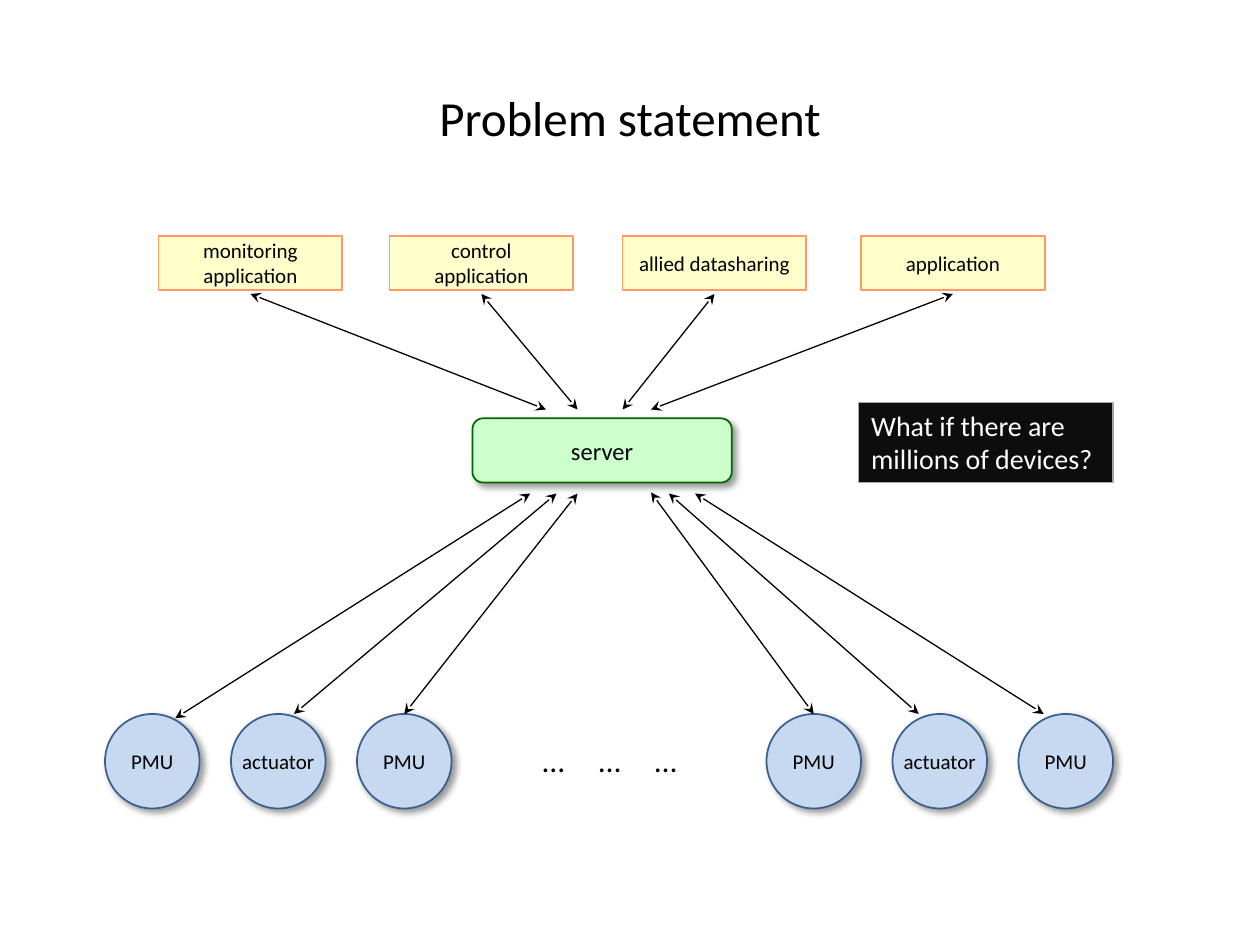
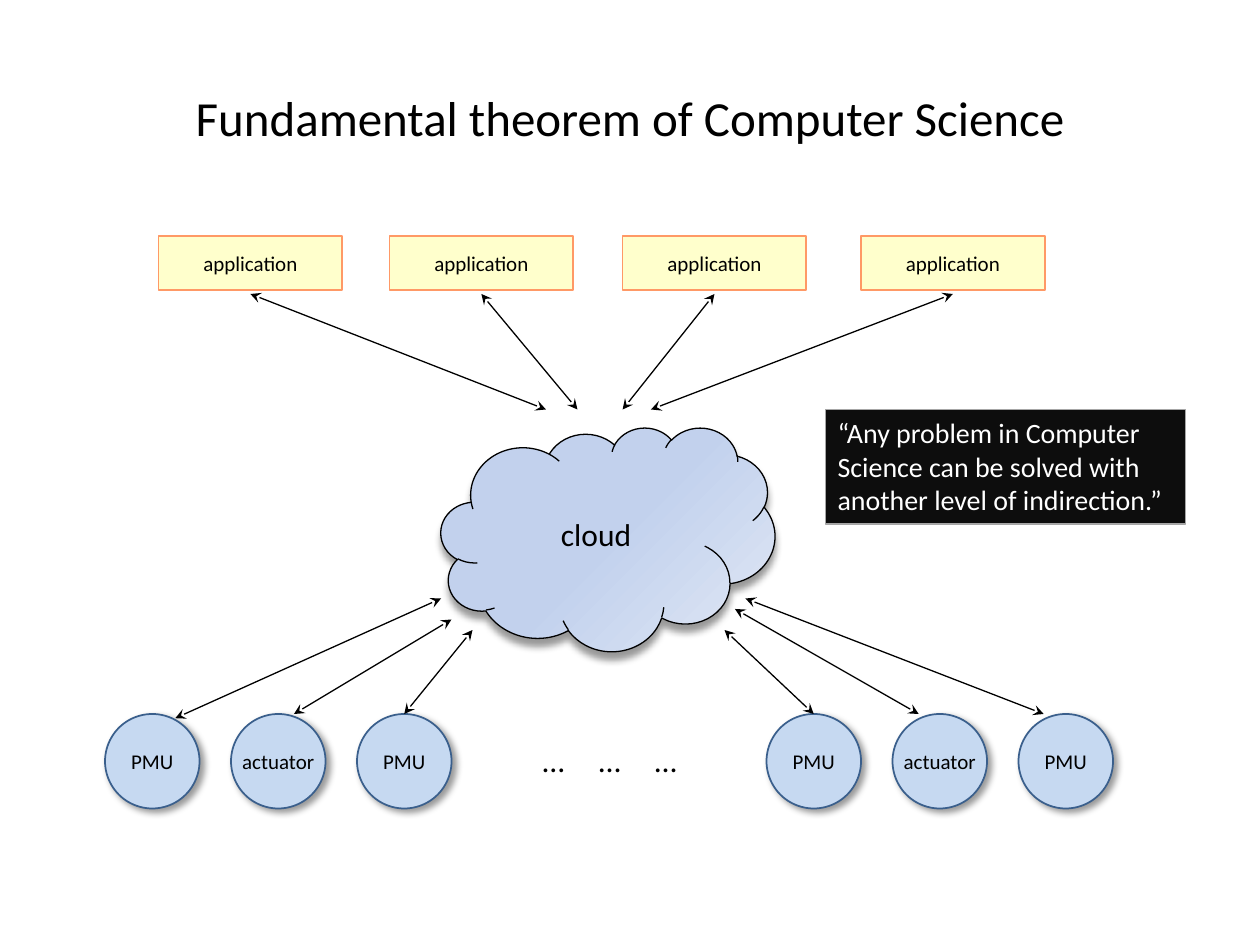
"""Two network diagrams: applications and devices joined by a server or a cloud."""
from dataclasses import dataclass
from typing import Optional

from lxml import etree
from pptx import Presentation
from pptx import util as u
from pptx.dml.color import RGBColor
from pptx.enum import shapes, text
from pptx.oxml import parse_xml
from pptx.oxml.ns import nsdecls, qn

COLS, ROWS = 120, 90  # grid of the whole slide
WIDTH, HEIGHT = u.Inches(10), u.Inches(7.5)
SHAPE = shapes.MSO_SHAPE
CENTER, LEFT = text.PP_ALIGN.CENTER, text.PP_ALIGN.LEFT
MIDDLE, TOP = text.MSO_ANCHOR.MIDDLE, text.MSO_ANCHOR.TOP


@dataclass(frozen=True)
class Theme:
    """Font, colours and type sizes of both slides."""
    font: str = "Calibri"
    ink: str = "000000"
    paper: str = "FFFFFF"
    title: int = 28
    large: int = 18
    note: int = 16
    server: int = 14
    label: int = 12
    thin: float = 0.75


THEME = Theme()


@dataclass(frozen=True)
class Box:
    """A rectangle in grid columns and rows."""
    col: float
    row: float
    cols: float
    rows: float


@dataclass(frozen=True)
class Style:
    """Look of a shape; shadow holds blur, distance and angle."""
    kind: int
    fill: str
    line: str
    width: float = 1
    shadow: Optional[tuple] = None


DEVICE = Style(SHAPE.OVAL, "C6D9F1", "3A5F8C", shadow=(4, 3, 45))
APP = Style(SHAPE.RECTANGLE, "FFFFCC", "FF9966")
SERVER = Style(SHAPE.ROUNDED_RECTANGLE, "CCFFCC", "006600", shadow=(4, 3, 45))
CLOUD = Style(SHAPE.CLOUD, "C2D1ED", THEME.ink, THEME.thin, (4, 4, 90))
NOTE = Style(SHAPE.RECTANGLE, "0D0D0D", "A6A6A6", THEME.thin)


@dataclass(frozen=True)
class Diagram:
    """What differs between the slides; ports are (column, row) arrow ends."""
    title: str
    apps: tuple
    hub: str
    hub_box: Box
    hub_style: Style
    hub_size: int
    ports: tuple
    note: str
    note_box: Box


APP_COLS = (15.1, 37.1, 59.3, 82)
APP_WIDTH = 17.5
APP_PORTS = (52, 55, 59.3, 62)
DEVICE_COLS = [start + 12 * i for start in (10, 73) for i in range(3)]
DEVICE_NAMES = ("PMU", "actuator", "PMU") * 2
DEVICE_ENDS = ((16.7, 68.4), (28, 68), (38.5, 68), (77.5, 68), (87.5, 68), (99.4, 68))

DIAGRAMS = (
    Diagram("Problem statement",
            ("monitoring application", "control application",
             "allied datasharing", "application"),
            "server", Box(45, 39.84, 24.7, 6.12), SERVER, THEME.server,
            ((50.5, 47), (53, 47), (55, 47), (62, 46.9), (63.7, 47), (66.2, 47)),
            "What if there are\nmillions of devices?", Box(81.8, 38.3, 24.2, 7.65)),
    Diagram("Fundamental theorem of Computer Science",
            ("application",) * 4,
            "cloud", Box(42, 40.7, 31.8, 21.3), CLOUD, THEME.large,
            ((42, 57), (43, 59), (45, 60), (69, 60), (70, 58), (71, 57)),
            "“Any problem in Computer Science can be solved with "
            "another level of indirection.”", Box(78.6, 39, 34.3, 10.9)),
)


def x(col: float) -> int:
    """Horizontal position of a grid column."""
    return round(WIDTH * col / COLS)


def y(row: float) -> int:
    """Vertical position of a grid row."""
    return round(HEIGHT * row / ROWS)


def place(box: Box) -> tuple:
    """Left, top, width and height of a grid rectangle."""
    return x(box.col), y(box.row), x(box.cols), y(box.rows)


def write(sp, words: str, *, size: float = THEME.label, color: str = THEME.ink,
          align=CENTER, anchor=MIDDLE, wrap: bool = True) -> None:
    """Put formatted text in a shape."""
    tf = sp.text_frame
    tf.word_wrap, tf.vertical_anchor = wrap, anchor
    p = tf.paragraphs[0]
    p.text, p.alignment = words.replace("\n", "\v"), align
    for r in p.runs:
        r.font.name, r.font.size = THEME.font, u.Pt(size)
        r.font.color.rgb = RGBColor.from_string(color)


def add_label(s, box: Box, words: str, **fmt) -> None:
    """Add a plain text box."""
    write(s.shapes.add_textbox(*place(box)), words, **fmt)


def add_shadow(sp, blur: float, dist: float, angle: float) -> None:
    """Give a shape a soft black shadow."""
    sp._element.spPr.find(qn("a:effectLst")).append(parse_xml(
        f'<a:outerShdw {nsdecls("a")} blurRad="{u.Pt(blur)}" dist="{u.Pt(dist)}" '
        f'dir="{angle * 60000}" rotWithShape="0"><a:srgbClr val="{THEME.ink}">'
        '<a:alpha val="40000"/></a:srgbClr></a:outerShdw>'))


def add_node(s, box: Box, style: Style, words: str, **fmt):
    """Add a styled shape with its text."""
    sp = s.shapes.add_shape(style.kind, *place(box))
    sp.fill.solid()
    sp.fill.fore_color.rgb = RGBColor.from_string(style.fill)
    sp.line.color.rgb = RGBColor.from_string(style.line)
    sp.line.width = u.Pt(style.width)
    sp.shadow.inherit = False
    if style.shadow:
        add_shadow(sp, *style.shadow)
    write(sp, words, **fmt)
    return sp


def shade_cloud(sp) -> None:
    """Replace the flat fill by a diagonal gradient."""
    stops = "".join(f'<a:gs pos="{pos}000"><a:srgbClr val="{color}"/></a:gs>'
                    for pos, color in ((0, CLOUD.fill), (50, CLOUD.fill), (100, "E1E8F5")))
    spPr = sp._element.spPr
    spPr.replace(spPr.find(qn("a:solidFill")), parse_xml(
        f'<a:gradFill {nsdecls("a")} rotWithShape="1"><a:gsLst>{stops}</a:gsLst>'
        '<a:lin ang="2700000" scaled="0"/></a:gradFill>'))


def add_arrow(s, start: tuple, end: tuple) -> None:
    """Add a thin line with an arrowhead at both ends."""
    c = s.shapes.add_connector(shapes.MSO_CONNECTOR.STRAIGHT,
                               x(start[0]), y(start[1]), x(end[0]), y(end[1]))
    c.line.color.rgb = RGBColor.from_string(THEME.ink)
    c.line.width = u.Pt(THEME.thin)
    for tag in ("a:headEnd", "a:tailEnd"):
        etree.SubElement(c.line._get_or_add_ln(), qn(tag), type="stealth")
    etree.SubElement(c._element.spPr, qn("a:effectLst"))


def draw(prs, d: Diagram) -> None:
    """Draw one diagram on a new blank slide."""
    s = prs.slides.add_slide(prs.slide_layouts[6])
    add_label(s, Box(6, 3.6, 108, 15), d.title, size=THEME.title)
    for col, name in zip(DEVICE_COLS, DEVICE_NAMES):
        add_node(s, Box(col, 68, 9, 9), DEVICE, name, wrap=False)
    for i in range(3):
        add_label(s, Box(50.5 + 5.35 * i, 70, 5, 4.8), "…", size=THEME.large,
                  align=LEFT, anchor=TOP)
    for start, end in zip(DEVICE_ENDS, d.ports):
        add_arrow(s, start, end)
    add_node(s, d.note_box, NOTE, d.note, size=THEME.note, color=THEME.paper,
             align=LEFT, anchor=TOP)
    hub = add_node(s, d.hub_box, d.hub_style, d.hub, size=d.hub_size)
    if d.hub_style is CLOUD:
        shade_cloud(hub)
    for col, name, port in zip(APP_COLS, d.apps, APP_PORTS):
        add_node(s, Box(col, 22.5, APP_WIDTH, 5.1), APP, name)
        add_arrow(s, (col + APP_WIDTH / 2, 28), (port, 39))


def main() -> None:
    """Build and save the presentation."""
    prs = Presentation()
    prs.slide_width, prs.slide_height = WIDTH, HEIGHT
    for d in DIAGRAMS:
        draw(prs, d)
    prs.save("out.pptx")


main()
